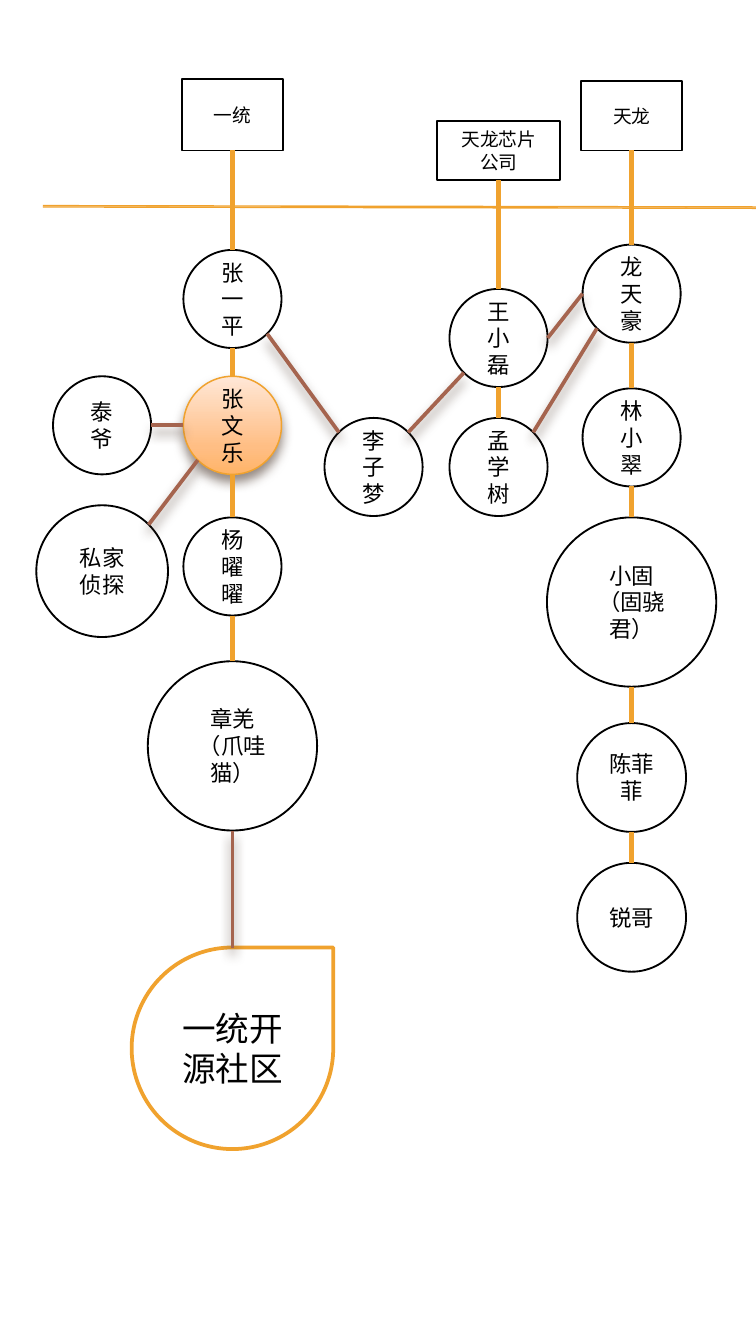
from dataclasses import dataclass
from math import sqrt

from lxml.etree import SubElement
from pptx import Presentation
from pptx.dml.color import RGBColor
from pptx.enum.shapes import MSO_CONNECTOR, MSO_SHAPE
from pptx.enum.text import MSO_ANCHOR, PP_ALIGN
from pptx.oxml import parse_xml
from pptx.oxml.ns import nsdecls, qn
from pptx.util import Inches, Pt


@dataclass(frozen=True)
class Theme:
    font: str = "Noto Sans CJK SC"
    ink: str = "000000"
    paper: str = "FFFFFF"
    gold: str = "F0A22E"
    brown: str = "A5644E"
    shadow: str = "4E3B30"
    glow: tuple = ((0, "FFE7D7"), (72, "FFBE84"), (100, "FFB468"))
    company_pt: int = 10
    person_pt: int = 12
    community_pt: int = 18


T = Theme()
HEIGHT = 10
WIDTH = HEIGHT * 9 / 16
COLUMNS = {"aides": 0.76, "yitong": 1.73, "middle": 2.78, "chip": 3.71, "tianlong": 4.7}
SMALL, MEDIUM, LARGE, HUGE = 0.73, 0.81, 1.26, 1.5

# name: (column, top, width, height), company boxes
COMPANIES = {
    "一统": ("yitong", 0.59, 0.75, 0.53),
    "天龙": ("tianlong", 0.6, 0.75, 0.52),
    "天龙芯片\n公司": ("chip", 0.9, 0.92, 0.44),
}
# name: (column, top, diameter)
PEOPLE = {
    "张一平": ("yitong", 1.86, SMALL),
    "张文乐": ("yitong", 2.8, SMALL),
    "杨曜曜": ("yitong", 3.85, SMALL),
    "章羌\n（爪哇猫）": ("yitong", 4.92, LARGE),
    "李子梦": ("middle", 3.11, SMALL),
    "泰爷": ("aides", 2.8, SMALL),
    "私家\n侦探": ("aides", 3.76, 0.98),
    "王小磊": ("chip", 2.15, SMALL),
    "孟学树": ("chip", 3.11, SMALL),
    "龙天豪": ("tianlong", 1.82, SMALL),
    "林小翠": ("tianlong", 2.89, SMALL),
    "小固\n（固骁君）": ("tianlong", 3.85, LARGE),
    "陈菲菲": ("tianlong", 5.38, MEDIUM),
    "锐哥": ("tianlong", 6.42, MEDIUM),
}
HERO = "张文乐"
COMMUNITY = "一统开源社区"

# Reporting lines, top to bottom
CHAINS = [
    ["一统", "张一平", "张文乐", "杨曜曜", "章羌\n（爪哇猫）"],
    ["天龙芯片\n公司", "王小磊", "孟学树"],
    ["天龙", "龙天豪", "林小翠", "小固\n（固骁君）", "陈菲菲", "锐哥"],
]
# Personal ties: (from, side, to, side)
TIES = [
    ("泰爷", "E", "张文乐", "W"),
    ("私家\n侦探", "NE", "张文乐", "SW"),
    ("李子梦", "NW", "张一平", "SE"),
    ("李子梦", "NE", "王小磊", "SW"),
    ("王小磊", "E", "龙天豪", "W"),
    ("孟学树", "NE", "龙天豪", "SW"),
    (COMMUNITY, "N", "章羌\n（爪哇猫）", "S"),
]


def rgb(color):
    return RGBColor.from_string(color)


def add_shadow(effects):
    shadow = SubElement(effects, qn("a:outerShdw"), blurRad=str(Pt(6)), dist=str(Pt(4)),
                        dir="5400000", rotWithShape="0")
    color = SubElement(shadow, qn("a:srgbClr"), val=T.shadow)
    SubElement(color, qn("a:alpha"), val="60000")


def add_node(s, kind, name, column, top, width, height, size, line=T.ink, weight=1):
    sp = s.shapes.add_shape(kind, Inches(COLUMNS[column] - width / 2), Inches(top),
                            Inches(width), Inches(height))
    sp.shadow.inherit = False
    sp.fill.solid()
    sp.fill.fore_color.rgb = rgb(T.paper)
    sp.line.color.rgb = rgb(line)
    sp.line.width = Pt(weight)
    tf = sp.text_frame
    tf.word_wrap = True
    tf.vertical_anchor = MSO_ANCHOR.MIDDLE
    for i, text in enumerate(name.split("\n")):
        p = tf.paragraphs[0] if i == 0 else tf.add_paragraph()
        p.alignment = PP_ALIGN.CENTER
        r = p.add_run()
        r.text = text
        r.font.size = Pt(size)
        r.font.name = T.font
        r.font.color.rgb = rgb(T.ink)
        SubElement(r.font._element, qn("a:ea"), typeface=T.font)
    return sp


def highlight(sp):
    """Give a node the warm gradient and the soft shadow."""
    stops = "".join(f'<a:gs pos="{pos * 1000}"><a:srgbClr val="{color}"/></a:gs>'
                    for pos, color in T.glow)
    props = sp._element.spPr
    props.replace(props.find(qn("a:solidFill")), parse_xml(
        f'<a:gradFill {nsdecls("a")} rotWithShape="1"><a:gsLst>{stops}</a:gsLst>'
        '<a:lin ang="5400000" scaled="0"/></a:gradFill>'))
    add_shadow(props.find(qn("a:effectLst")))


def edge_point(sp, side):
    """Point on a node's outline in a compass direction."""
    dx = ("E" in side) - ("W" in side)
    dy = ("S" in side) - ("N" in side)
    reach = 0.5 / sqrt(dx * dx + dy * dy)
    return (int(sp.left + sp.width * (0.5 + dx * reach)),
            int(sp.top + sp.height * (0.5 + dy * reach)))


def add_line(s, start, end, color, weight, shadow=False):
    c = s.shapes.add_connector(MSO_CONNECTOR.STRAIGHT, *start, *end)
    c.line.color.rgb = rgb(color)
    c.line.width = Pt(weight)
    effects = SubElement(c._element.spPr, qn("a:effectLst"))
    if shadow:
        add_shadow(effects)
    return c


def main():
    prs = Presentation()
    prs.slide_width, prs.slide_height = Inches(WIDTH), Inches(HEIGHT)
    s = prs.slides.add_slide(prs.slide_layouts[6])

    for y in (1.53, 1.54):
        add_line(s, (Inches(0.32), Inches(y)), (Inches(WIDTH), Inches(y + 0.01)), T.gold, 0.75)

    nodes = {}
    for name, place in COMPANIES.items():
        nodes[name] = add_node(s, MSO_SHAPE.RECTANGLE, name, *place, T.company_pt)
    for name, (column, top, size) in PEOPLE.items():
        nodes[name] = add_node(s, MSO_SHAPE.OVAL, name, column, top, size, size, T.person_pt)
    nodes[COMMUNITY] = add_node(s, MSO_SHAPE.TEAR, COMMUNITY, "yitong", 7.05, HUGE, HUGE,
                                T.community_pt, T.gold, 2)
    hero = nodes[HERO]
    highlight(hero)
    hero.line.color.rgb = rgb(T.gold)
    hero.line.width = Pt(0.79)

    for chain in CHAINS:
        for upper, lower in zip(chain, chain[1:]):
            c = add_line(s, edge_point(nodes[upper], "S"), edge_point(nodes[lower], "N"),
                         T.gold, 3)
            if upper in COMPANIES:
                c.begin_connect(nodes[upper], 2)
    for first, side, second, other_side in TIES:
        add_line(s, edge_point(nodes[first], side), edge_point(nodes[second], other_side),
                 T.brown, 2, shadow=True)

    prs.save("out.pptx")


if __name__ == "__main__":
    main()
